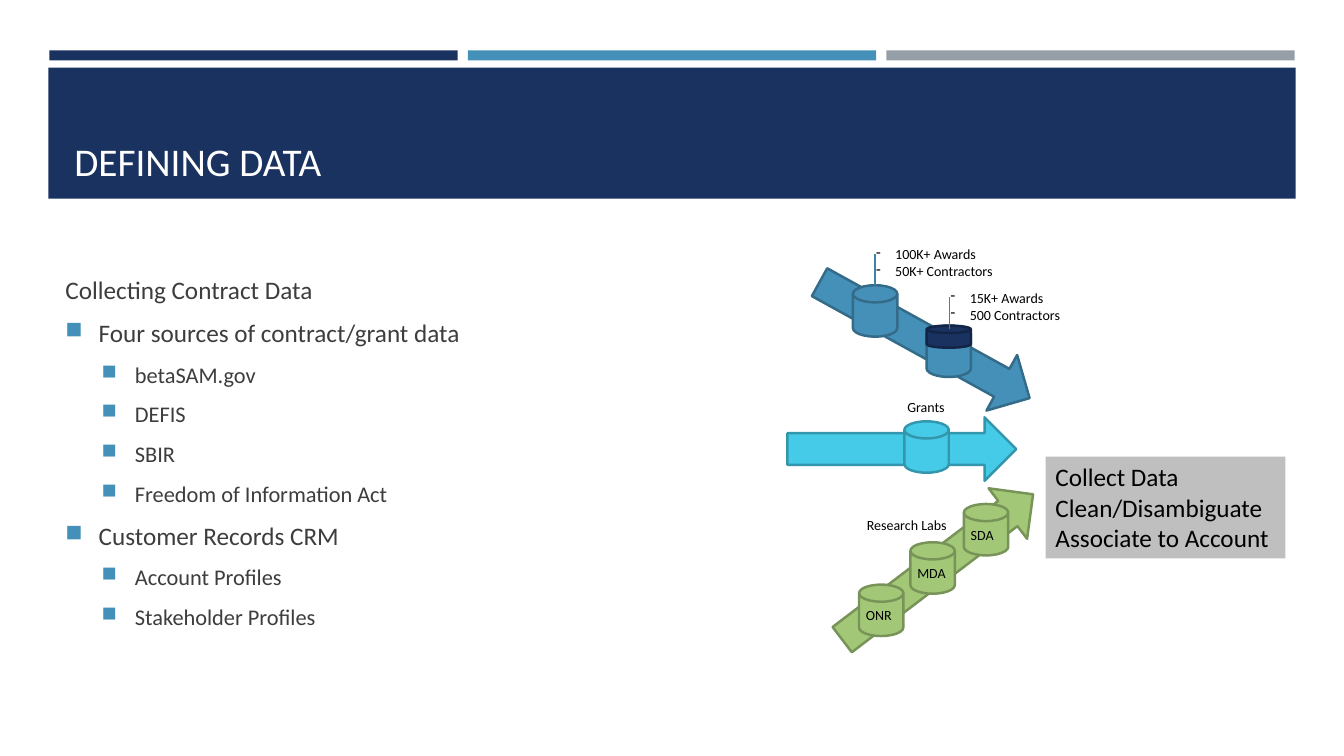
from lxml import etree
from pptx import Presentation
from pptx.dml.color import RGBColor
from pptx.enum.shapes import MSO_CONNECTOR, MSO_SHAPE
from pptx.enum.text import MSO_ANCHOR, MSO_AUTO_SIZE, PP_ALIGN
from pptx.oxml.ns import qn
from pptx.util import Inches, Pt

RECT = MSO_SHAPE.RECTANGLE
ARROW = MSO_SHAPE.RIGHT_ARROW
DISK = MSO_SHAPE.FLOWCHART_MAGNETIC_DISK
STRAIGHT = MSO_CONNECTOR.STRAIGHT
TOP, MIDDLE, BOTTOM = MSO_ANCHOR.TOP, MSO_ANCHOR.MIDDLE, MSO_ANCHOR.BOTTOM
GROW, FIXED = MSO_AUTO_SIZE.SHAPE_TO_FIT_TEXT, MSO_AUTO_SIZE.NONE
LEFT = PP_ALIGN.LEFT

FONT = "Calibri"
NAVY, BLUE, GRAY, CYAN, GREEN = "1A3260", "4590B8", "969FA7", "45CBE8", "A2C777"
EDGES = {NAVY: "132547", BLUE: "336B88", CYAN: "3396AC", GREEN: "789358"}
DISK_W, DISK_H = 0.44, 0.51

OUTLINE = [
    (None, "Collecting Contract Data"),
    (0, "Four sources of contract/grant data"),
    (1, "betaSAM.gov"),
    (1, "DEFIS"),
    (1, "SBIR"),
    (1, "Freedom of Information Act"),
    (0, "Customer Records CRM"),
    (1, "Account Profiles"),
    (1, "Stakeholder Profiles"),
]


def rgb(color):
    """Turn a hex string into a colour."""
    return RGBColor.from_string(color)


def add_shape(s, kind, box, fill, edge=None, rotation=0):
    """Add a filled preset shape, outlined if an edge colour is given."""
    sp = s.shapes.add_shape(kind, *map(Inches, box))
    sp.shadow.inherit = False
    sp.rotation = rotation
    sp.fill.solid()
    sp.fill.fore_color.rgb = rgb(fill)
    if edge:
        sp.line.color.rgb = rgb(edge)
        sp.line.width = Pt(1.75)
    else:
        sp.line.fill.background()
    return sp


def add_line(s, start, end, color):
    """Add a thin straight line."""
    cn = s.shapes.add_connector(STRAIGHT, *map(Inches, start + end))
    cn.line.color.rgb = rgb(color)
    cn.line.width = Pt(1)
    etree.SubElement(cn._element.spPr, qn("a:effectLst"))


def set_bullet(p, char, margin, hang, color=None, size=None):
    """Give a paragraph a hanging bullet."""
    pPr = p._p.get_or_add_pPr()
    pPr.set("marL", str(Inches(margin)))
    pPr.set("indent", str(-Inches(hang)))
    if color:
        clr = etree.SubElement(pPr, qn("a:buClr"))
        etree.SubElement(clr, qn("a:srgbClr"), val=color)
    if size:
        etree.SubElement(pPr, qn("a:buSzPct"), val=str(size * 1000))
    etree.SubElement(pPr, qn("a:buChar"), char=char)


def add_run(p, text, size, color="000000"):
    """Add a left-aligned run of text."""
    p.alignment = LEFT
    r = p.add_run()
    r.text = text
    for name, value in {"name": FONT, "size": Pt(size)}.items():
        setattr(r.font, name, value)
    r.font.color.rgb = rgb(color)


def paragraphs(tf, items):
    """Yield one paragraph per item, starting with the existing one."""
    for i, item in enumerate(items):
        yield (tf.add_paragraph() if i else tf.paragraphs[0]), item


def set_frame(sp, anchor=TOP, auto_size=GROW):
    """Set wrapping, anchoring and sizing, and return the text frame."""
    tf = sp.text_frame
    frame = {"word_wrap": True, "vertical_anchor": anchor, "auto_size": auto_size}
    for name, value in frame.items():
        setattr(tf, name, value)
    return tf


def add_text(s, box, lines, size=10, color="000000", dash=False, **frame):
    """Add a text box with one paragraph per line."""
    tf = set_frame(s.shapes.add_textbox(*map(Inches, box)), **frame)
    for p, line in paragraphs(tf, lines):
        if dash:
            set_bullet(p, "-", 0.19, 0.19)
        add_run(p, line, size, color)


def add_disk(s, x, y, color, height=DISK_H):
    """Add a data store cylinder."""
    add_shape(s, DISK, (x, y, DISK_W, height), color, EDGES[color])


def add_callout(s, x, y, lines):
    """Add a leader line with a dashed list beside its top end."""
    add_line(s, (x, y + 0.31), (x, y), "3E82A6")
    add_text(s, (x - 0.09, y - 0.13, 1.58, 0.44), lines, dash=True)


def add_header(s):
    """Add the three stripes and the title band."""
    for i, color in enumerate((NAVY, BLUE, GRAY)):
        add_shape(s, RECT, (0.49 + 4.15 * i, 0.5, 4.05, 0.1), color)
    add_shape(s, RECT, (0.48, 0.67, 12.37, 1.3), NAVY)
    add_text(s, (0.64, 0.77, 12.06, 1.11), ["DEFINING DATA"], 28, "FFFFFF",
             anchor=BOTTOM, auto_size=FIXED)


def add_outline(s):
    """Add the bulleted list of data sources."""
    box = s.shapes.add_textbox(*map(Inches, (0.55, 2.38, 4.95, 4.21)))
    tf = set_frame(box, MIDDLE, FIXED)
    for p, (level, text) in paragraphs(tf, OUTLINE):
        size = 16 if level else 18
        if level is not None:
            p.level = level
            set_bullet(p, "■", 0.33 + 0.36 * level, 0.33, BLUE, 92)
            p.space_before = Pt(0.2 * size)
        p.space_after = Pt(6)
        add_run(p, text, size, "3D3D3D")


def add_flows(s):
    """Add the three arrows with their data stores and labels."""
    for box, color, rotation in (
        ((7.81, 4.14, 2.27, 0.63), CYAN, 0),
        ((8.11, 5.31, 2.38, 0.63), GREEN, 322.7),
        ((7.98, 3.06, 2.38, 0.63), BLUE, 28.9),
    ):
        add_shape(s, ARROW, box, color, EDGES[color], rotation)

    add_disk(s, 8.46, 2.83, BLUE)
    add_callout(s, 8.68, 2.52, ["100K+ Awards", "50K+ Contractors"])
    add_disk(s, 9.19, 3.23, BLUE)
    add_disk(s, 9.19, 3.23, NAVY, 0.22)
    add_callout(s, 9.42, 2.95, ["15K+ Awards", "500 Contractors"])

    add_disk(s, 8.97, 4.18, CYAN)
    add_text(s, (8.9, 3.9, 0.61, 0.27), ["Grants"])

    add_text(s, (8.5, 5.08, 1.1, 0.27), ["Research Labs"])
    for x, y, lab in ((8.52, 5.8, "ONR"), (9.03, 5.38, "MDA"), (9.56, 5, "SDA")):
        add_disk(s, x, y, GREEN)
        add_text(s, (x - 0.03, y + 0.17, 0.57, 0.27), [lab])


def add_steps(s):
    """Add the gray box of processing steps."""
    sp = add_shape(s, RECT, (10.37, 4.53, 2.38, 1.01), "BFBFBF")
    steps = ["Collect Data", "Clean/Disambiguate", "Associate to Account"]
    for p, step in paragraphs(set_frame(sp), steps):
        add_run(p, step, 18)


def main():
    """Build the slide and save it."""
    prs = Presentation()
    prs.slide_width, prs.slide_height = Inches(13.33), Inches(7.5)
    s = prs.slides.add_slide(prs.slide_layouts[6])
    add_header(s)
    add_flows(s)
    add_steps(s)
    add_outline(s)
    prs.save("out.pptx")


if __name__ == "__main__":
    main()
